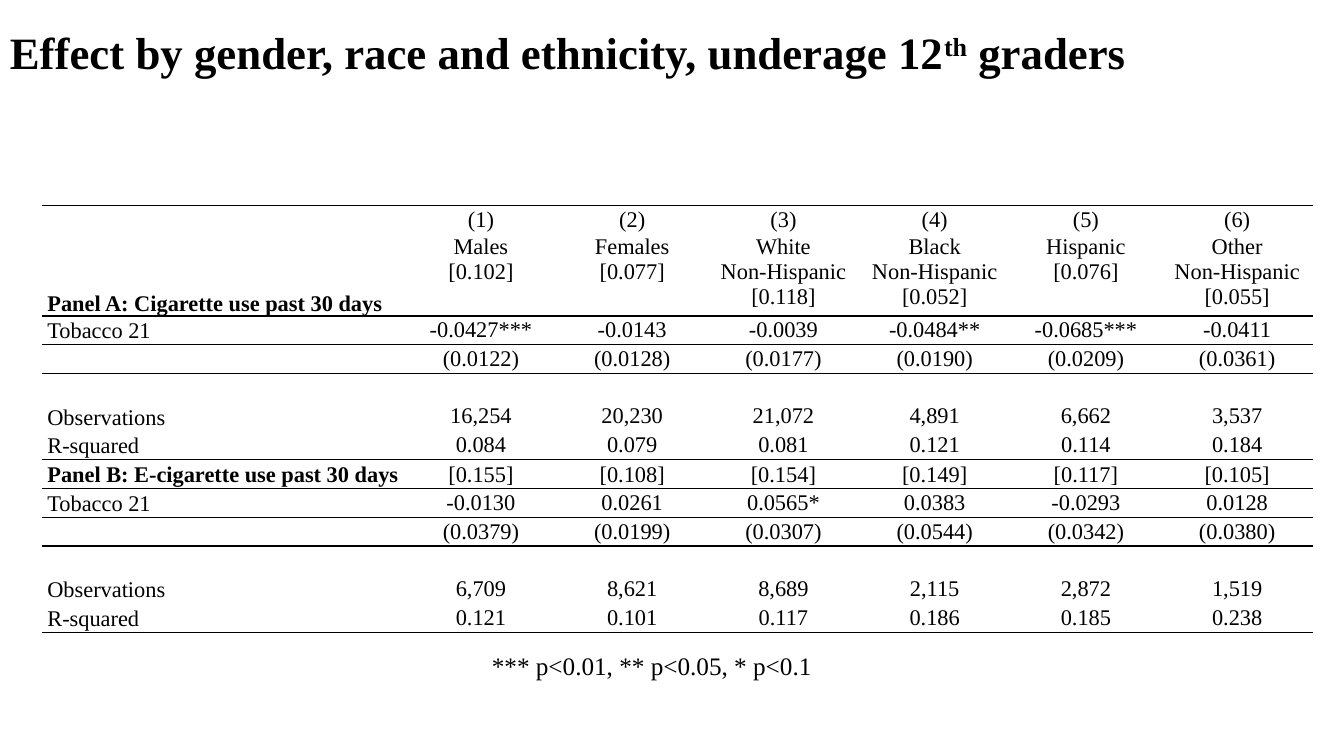
from lxml import etree
from pptx import Presentation
from pptx.dml.color import RGBColor
from pptx.enum.text import MSO_ANCHOR, PP_ALIGN
from pptx.oxml.ns import qn
from pptx.util import Inches, Pt

TOP, MIDDLE, BOTTOM = MSO_ANCHOR.TOP, MSO_ANCHOR.MIDDLE, MSO_ANCHOR.BOTTOM
LEFT, CENTER = PP_ALIGN.LEFT, PP_ALIGN.CENTER

# Content
TITLE = [("Effect by gender, race and ethnicity, underage 12", False),
         ("th", True), (" graders", False)]
FOOTNOTE = "*** p<0.01, ** p<0.05, * p<0.1"
BLANK = [""] * 7
ROWS = [
    ["", "(1)", "(2)", "(3)", "(4)", "(5)", "(6)"],
    ["Panel A: Cigarette use past 30 days", "Males\n[0.102]", "Females\n[0.077]",
     "White\nNon-Hispanic\n[0.118]", "Black\nNon-Hispanic\n[0.052]",
     "Hispanic\n[0.076]", "Other\nNon-Hispanic\n[0.055]"],
    ["Tobacco 21", "-0.0427***", "-0.0143", "-0.0039", "-0.0484**", "-0.0685***", "-0.0411"],
    ["", "(0.0122)", "(0.0128)", "(0.0177)", "(0.0190)", "(0.0209)", "(0.0361)"],
    BLANK,
    ["Observations", "16,254", "20,230", "21,072", "4,891", "6,662", "3,537"],
    ["R-squared", "0.084", "0.079", "0.081", "0.121", "0.114", "0.184"],
    ["Panel B: E-cigarette use past 30 days",
     "[0.155]", "[0.108]", "[0.154]", "[0.149]", "[0.117]", "[0.105]"],
    ["Tobacco 21", "-0.0130", "0.0261", "0.0565*", "0.0383", "-0.0293", "0.0128"],
    ["", "(0.0379)", "(0.0199)", "(0.0307)", "(0.0544)", "(0.0342)", "(0.0380)"],
    BLANK,
    ["Observations", "6,709", "8,621", "8,689", "2,115", "2,872", "1,519"],
    ["R-squared", "0.121", "0.101", "0.117", "0.186", "0.185", "0.238"],
]
GROUP_ROW, PANEL_B_ROW = 1, 7
RULED_BELOW = {1, 2, 6, 7, 8, 12}

# Theme and layout
THEME = {"font": "Times New Roman", "ink": RGBColor(0, 0, 0),
         "title": Pt(32), "note": Pt(18), "cell": Pt(16), "rule": Pt(1)}
NO_STYLE_NO_GRID = "{2D5ABB26-0587-4C30-8999-92F81FD0307C}"
TABLE_LEFT, TABLE_TOP, TABLE_HEIGHT = 0.42, 2.04, 4.22
LABEL_WIDTH, VALUE_WIDTH, GROUP_HEIGHT = 3.6, 1.5, 0.81
ROW_HEIGHT = (TABLE_HEIGHT - GROUP_HEIGHT) / (len(ROWS) - 1)


def style(font, size, bold=False):
    font.name, font.size, font.bold = THEME["font"], THEME[size], bold
    font.color.rgb = THEME["ink"]


def add_text_box(slide, left, top, width, height, wrap):
    box = slide.shapes.add_textbox(Inches(left), Inches(top), Inches(width), Inches(height))
    box.text_frame.word_wrap = wrap
    return box.text_frame


def add_rule(cell, side):
    properties = cell._tc.get_or_add_tcPr()
    line = etree.Element(qn(f"a:{side}"), w=str(THEME["rule"]))
    fill = etree.SubElement(line, qn("a:solidFill"))
    etree.SubElement(fill, qn("a:srgbClr"), val=str(THEME["ink"]))
    properties.insert(0, line)


def fill_cell(cell, text, row, column):
    is_label = column == 0
    is_panel = row in (GROUP_ROW, PANEL_B_ROW)
    cell.margin_left = cell.margin_right = Inches(0.05 if is_label or row == 0 else 0.03)
    cell.margin_top = cell.margin_bottom = 0
    if is_label:
        cell.vertical_anchor = BOTTOM if row == GROUP_ROW else MIDDLE
    else:
        cell.vertical_anchor = MIDDLE if row == PANEL_B_ROW else TOP
    cell.fill.background()
    cell.text = text
    for paragraph in cell.text_frame.paragraphs:
        paragraph.alignment = LEFT if is_label else CENTER
        if is_label or row != GROUP_ROW:
            paragraph.line_spacing = 1.07
            paragraph.space_after = Pt(8)
        style(paragraph.font, "cell", is_label and is_panel)
        if not text:  # keeps empty cells from stretching their row
            end = etree.SubElement(paragraph._p, qn("a:endParaRPr"))
            end.set("sz", str(int(THEME["cell"].pt * 100)))
            etree.SubElement(end, qn("a:latin"), typeface=THEME["font"])
    if row in RULED_BELOW:
        add_rule(cell, "lnB")
    if row == 0 or row - 1 in RULED_BELOW:
        add_rule(cell, "lnT")


presentation = Presentation()
presentation.slide_width, presentation.slide_height = Inches(13.33), Inches(7.5)
slide = presentation.slides.add_slide(presentation.slide_layouts[6])

# Title
title = add_text_box(slide, 0, 0, 13.33, 1.09, True)
title.vertical_anchor = MIDDLE
paragraph = title.paragraphs[0]
paragraph.line_spacing = 0.9
style(paragraph.font, "title", True)
for text, raised in TITLE:
    run = paragraph.add_run()
    run.text = text
    if raised:
        run.font._element.set("baseline", "30000")

# Footnote
note = add_text_box(slide, 4.78, 6.4, 3.4, 0.4, False).paragraphs[0]
note.text = FOOTNOTE
style(note.font, "note")

# Results table
column_widths = [LABEL_WIDTH] + [VALUE_WIDTH] * (len(ROWS[0]) - 1)
table = slide.shapes.add_table(
    len(ROWS), len(column_widths), Inches(TABLE_LEFT), Inches(TABLE_TOP),
    Inches(sum(column_widths)), Inches(TABLE_HEIGHT)).table
table.first_row = table.horz_banding = False
table._tbl.tblPr.find(qn("a:tableStyleId")).text = NO_STYLE_NO_GRID
for column, width in enumerate(column_widths):
    table.columns[column].width = Inches(width)
for row, texts in enumerate(ROWS):
    table.rows[row].height = Inches(GROUP_HEIGHT if row == GROUP_ROW else ROW_HEIGHT)
    for column, text in enumerate(texts):
        fill_cell(table.cell(row, column), text, row, column)

presentation.save("out.pptx")
